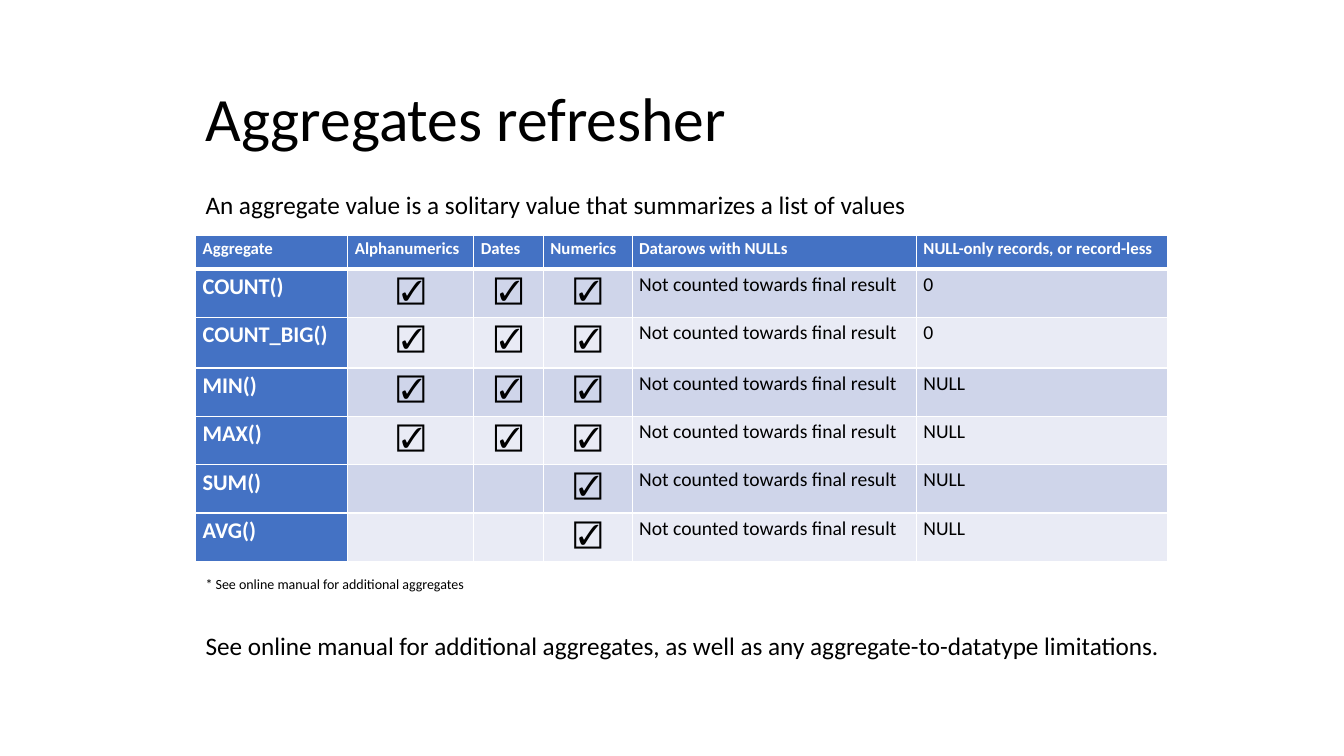
from dataclasses import dataclass

from lxml import etree
from pptx import Presentation
from pptx.dml.color import RGBColor
from pptx.enum.text import MSO_ANCHOR, MSO_AUTO_SIZE, PP_ALIGN
from pptx.oxml.ns import qn
from pptx.util import Inches, Pt

WHITE, BLACK, BLUE = "FFFFFF", "000000", "4472C4"
BANDS = ("CFD5EA", "E9EBF5")
LEFT = 1.94


@dataclass(frozen=True)
class Style:
    size: float
    color: str = BLACK
    bold: bool = False
    font: str = "Calibri"
    align: PP_ALIGN = PP_ALIGN.LEFT
    spacing: float = 1.0


@dataclass(frozen=True)
class Note:
    text: str
    top: float
    width: float
    height: float
    size: float


@dataclass(frozen=True)
class Aggregate:
    name: str
    all_types: bool
    no_records: str


TITLE = Style(44, spacing=0.9)
HEADER = Style(12, WHITE, True, spacing=1.15)
NAME = Style(16, WHITE, True, spacing=1.15)
CHECK = Style(20, font="Arial", align=PP_ALIGN.CENTER, spacing=1.15)
BODY = Style(14, spacing=1.15)

HEADINGS = ("Aggregate", "Alphanumerics", "Dates", "Numerics",
            "Datarows with NULLs", "NULL-only records, or record-less")
COL_WIDTHS = (1.51, 1.25, 0.69, 0.88, 2.82, 2.49)
ROW_HEIGHTS = (0.33, 0.48, 0.5, 0.48, 0.48, 0.48, 0.48)
AGGREGATES = (
    Aggregate("COUNT()", True, "0"),
    Aggregate("COUNT_BIG()", True, "0"),
    Aggregate("MIN()", True, "NULL"),
    Aggregate("MAX()", True, "NULL"),
    Aggregate("SUM()", False, "NULL"),
    Aggregate("AVG()", False, "NULL"),
)
NOTES = (
    Note("See online manual for additional aggregates, as well as any "
         "aggregate-to-datatype limitations.", 6.2, 9.85, 0.4, 18),
    Note("An aggregate value is a solitary value that summarizes a list of values",
         1.83, 7.5, 0.4, 18),
    Note("* See online manual for additional aggregates", 5.66, 5.25, 0.27, 10),
)


def rgb(color: str) -> RGBColor:
    return RGBColor.from_string(color)


def write(tf, text: str, style: Style) -> None:
    p = tf.paragraphs[0]
    p.alignment = style.align
    p.line_spacing = style.spacing
    r = p.add_run()
    r.text = text
    r.font.name = style.font
    r.font.size = Pt(style.size)
    r.font.bold = style.bold
    r.font.color.rgb = rgb(style.color)


def add_border(cell, side: str, width: float) -> None:
    ln = etree.SubElement(cell._tc.get_or_add_tcPr(), qn(f"a:{side}"), w=str(Pt(width)))
    fill = etree.SubElement(ln, qn("a:solidFill"))
    etree.SubElement(fill, qn("a:srgbClr"), val=WHITE)


def format_cell(cell, row: int, col: int) -> None:
    cell.margin_left = cell.margin_right = Inches(0.07)
    cell.margin_top = cell.margin_bottom = 0
    # The header row is set off by a thicker rule
    add_border(cell, "lnL", 1)
    add_border(cell, "lnR", 1)
    add_border(cell, "lnT", 3 if row == 1 else 1)
    add_border(cell, "lnB", 3 if row == 0 else 1)
    cell.fill.solid()
    cell.fill.fore_color.rgb = rgb(BLUE if row == 0 or col == 0 else BANDS[(row - 1) % 2])


def add_aggregate_table(s) -> None:
    frame = s.shapes.add_table(len(ROW_HEIGHTS), len(COL_WIDTHS), Inches(LEFT), Inches(2.34),
                               Inches(sum(COL_WIDTHS)), Inches(sum(ROW_HEIGHTS)))
    table = frame.table
    for column, width in zip(table.columns, COL_WIDTHS):
        column.width = Inches(width)
    for row, height in zip(table.rows, ROW_HEIGHTS):
        row.height = Inches(height)

    rows = [HEADINGS]
    for a in AGGREGATES:
        check = "☑" if a.all_types else ""
        rows.append((a.name, check, check, "☑", "Not counted towards final result", a.no_records))
    body_styles = (NAME, CHECK, CHECK, CHECK, BODY, BODY)
    for i, texts in enumerate(rows):
        for j, text in enumerate(texts):
            cell = table.cell(i, j)
            format_cell(cell, i, j)
            if text:
                write(cell.text_frame, text, HEADER if i == 0 else body_styles[j])


def add_note(s, note: Note) -> None:
    box = s.shapes.add_textbox(Inches(LEFT), Inches(note.top),
                               Inches(note.width), Inches(note.height))
    tf = box.text_frame
    tf.word_wrap = True
    tf.auto_size = MSO_AUTO_SIZE.SHAPE_TO_FIT_TEXT
    write(tf, note.text, Style(note.size))


def add_title(s, text: str) -> None:
    title = s.shapes.title
    title.left, title.top = Inches(LEFT), Inches(0.58)
    title.width, title.height = Inches(7.5), Inches(1.25)
    tf = title.text_frame
    tf.auto_size = MSO_AUTO_SIZE.NONE
    tf.vertical_anchor = MSO_ANCHOR.MIDDLE
    write(tf, text, TITLE)


def main() -> None:
    prs = Presentation()
    prs.slide_width, prs.slide_height = Inches(13.33), Inches(7.5)
    s = prs.slides.add_slide(prs.slide_layouts[5])
    add_title(s, "Aggregates refresher")
    add_aggregate_table(s)
    for note in NOTES:
        add_note(s, note)
    prs.save("out.pptx")


if __name__ == "__main__":
    main()
